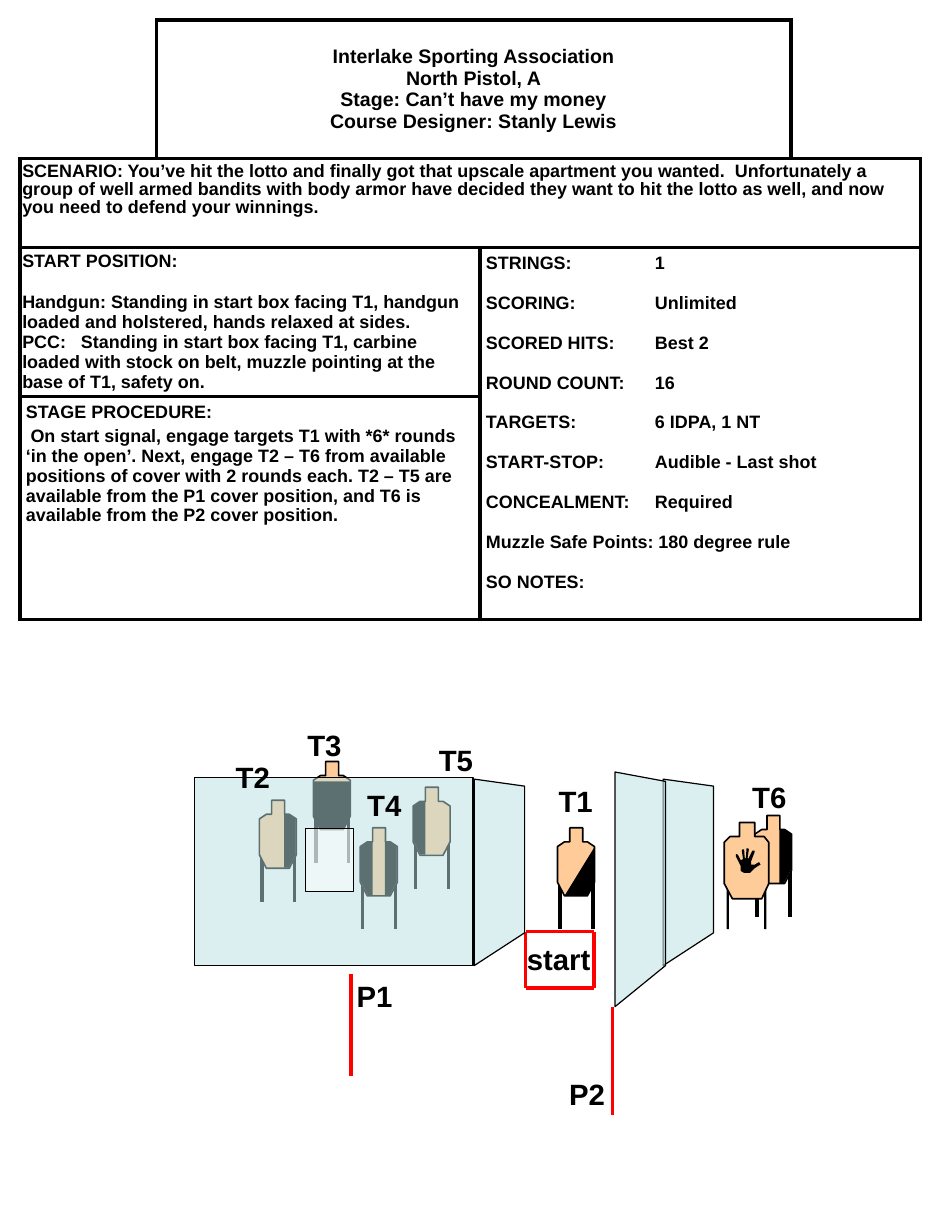
from lxml.etree import SubElement
from pptx import Presentation
from pptx.dml.color import RGBColor
from pptx.enum.shapes import MSO_CONNECTOR as Connector, MSO_SHAPE as Shape
from pptx.enum.text import MSO_ANCHOR as Anchor, PP_ALIGN as Align
from pptx.oxml.ns import qn
from pptx.util import Emu, Inches, Pt

COLUMNS, ROWS = 80, 105
BLACK, WHITE, RED = "000000", "FFFFFF", "FF0000"
GLASS, CARDBOARD = "BBE0E3", "FFCC99"

# Target pieces, in grid cells from the target's top left corner
BODY = [(1.05, 0), (2.15, 0), (2.15, 1.2), (2.55, 1.2), (3.15, 1.6), (3.15, 4.65),
        (2.55, 5.8), (0.6, 5.8), (0, 4.65), (0, 1.6), (0.6, 1.2), (1.05, 1.2)]
RIGHT_ARMOR = [(2.1, 1.2), (2.1, 5.75), (2.5, 5.75), (3.1, 4.6), (3.1, 1.6), (2.5, 1.2)]
LEFT_ARMOR = [(3.15 - x, y) for x, y in RIGHT_ARMOR]
VEST = [(0, 1.7), (3.15, 1.7), (3.15, 4.65), (2.55, 5.8), (0.6, 5.8), (0, 4.65)]
DIAGONAL = [(3.15, 1.65), (3.15, 4.65), (2.55, 5.8), (0.6, 5.8)]
THREAT_BODY = [(1.3, 0), (1.3, 1.2), (0.5, 1.2), (0, 1.7), (0, 5.2), (0.7, 6.5), (3.2, 6.5),
               (3.8, 5.2), (3.8, 1.7), (3.4, 1.2), (2.6, 1.2), (2.6, 0)]
HAND = [(2.4, 4.1), (2.2, 4.3), (2, 4.3), (1.7, 4.3), (1.5, 4.2), (1.4, 4.1), (1.4, 3.7),
        (1.3, 3.5), (1.2, 3.3), (1, 2.9), (1, 2.7), (1.1, 2.7), (1.2, 2.8), (1.4, 3.2),
        (1.5, 3.2), (1.6, 3.1), (1.5, 2.4), (1.55, 2.3), (1.7, 2.3), (1.75, 3), (1.8, 3.1),
        (1.85, 3), (1.9, 2.2), (2.05, 2.2), (2.1, 2.3), (2, 3), (2.05, 3.1), (2.1, 3),
        (2.4, 2.4), (2.6, 2.4), (2.6, 2.5), (2.3, 3.3), (2.3, 3.6), (2.4, 3.6), (2.6, 3.6),
        (2.9, 3.4), (3, 3.4), (3.1, 3.6), (2.9, 3.7), (2.6, 3.9)]

HEADING = ("Interlake Sporting Association\vNorth Pistol, A\v"
           "Stage: Can’t have my money\vCourse Designer: Stanly Lewis")
SCENARIO = ("SCENARIO: You’ve hit the lotto and finally got that upscale apartment you wanted.  "
            "Unfortunately a group of well armed bandits with body armor have decided they want "
            "to hit the lotto as well, and now you need to defend your winnings.")
START_POSITION = [
    "START POSITION:",
    "Handgun: Standing in start box facing T1, handgun loaded and holstered, "
    "hands relaxed at sides.",
    "PCC:\tStanding in start box facing T1, carbine loaded with stock on belt, "
    "muzzle pointing at the base of T1, safety on."]
RULES = ["STRINGS:\t1", "SCORING:\tUnlimited", "SCORED HITS:\tBest 2", "ROUND COUNT:\t16",
         "TARGETS:\t6 IDPA, 1 NT", "START-STOP:\tAudible - Last shot",
         "CONCEALMENT:\tRequired", "Muzzle Safe Points: 180 degree rule", "SO NOTES:"]
PROCEDURE = [
    "STAGE PROCEDURE:",
    "On start signal, engage targets T1 with *6* rounds ‘in the open’. Next, engage T2 – T6 "
    "from available positions of cover with 2 rounds each. T2 – T5 are available from the P1 "
    "cover position, and T6 is available from the P2 cover position."]


def color(value):
    return RGBColor.from_string(value)


class StageSheet:
    """Draws on one slide, in cells of a grid of 80 columns by 105 rows."""

    font = "Arial"

    def __init__(self, deck):
        self.page = deck.slides.add_slide(deck.slide_layouts[6])
        self.shapes = self.page.shapes
        self.column, self.row = deck.slide_width / COLUMNS, deck.slide_height / ROWS

    def x(self, columns):
        return Emu(round(columns * self.column))

    def y(self, rows):
        return Emu(round(rows * self.row))

    def paint(self, shape, fill, border=None, weight=0.75, opacity=100):
        shape.shadow.inherit = False
        shape.fill.solid()
        shape.fill.fore_color.rgb = color(fill)
        if opacity < 100:
            tint = shape._element.spPr.find(qn("a:solidFill"))[0]
            SubElement(tint, qn("a:alpha"), val=str(opacity * 1000))
        if border:
            shape.line.color.rgb = color(border)
            shape.line.width = Pt(weight)
        else:
            shape.line.fill.background()
        return shape

    def line(self, x1, y1, x2, y2, ink, weight):
        link = self.shapes.add_connector(Connector.STRAIGHT, self.x(x1), self.y(y1),
                                         self.x(x2), self.y(y2))
        link.line.color.rgb = color(ink)
        link.line.width = Pt(weight)
        SubElement(link._element.spPr, qn("a:effectLst"))
        return link

    def rectangle(self, left, top, width, height, fill, **style):
        box = self.shapes.add_shape(Shape.RECTANGLE, self.x(left), self.y(top),
                                    self.x(width), self.y(height))
        return self.paint(box, fill, **style)

    def polygon(self, points, fill, left=0, top=0, **style):
        first, *rest = [(self.x(left + x), self.y(top + y)) for x, y in points]
        outline = self.shapes.build_freeform(*first, scale=1.0)
        outline.add_line_segments(rest, close=True)
        return self.paint(outline.convert_to_shape(), fill, **style)

    def set_text(self, para, text, size):
        para.text = text
        para.font.name, para.font.size, para.font.bold = self.font, Pt(size), True
        para.font.color.rgb = color(BLACK)

    def label(self, text, left, top, width=5.8):
        box = self.shapes.add_textbox(self.x(left), self.y(top), self.x(width), self.y(4))
        box.text_frame.word_wrap = True
        self.set_text(box.text_frame.paragraphs[0], text, 18)
        return box

    def target(self, left, top, *armor):
        legs = [self.line(left + x, top + 4.25, left + x, top + 8.65, BLACK, 2.25)
                for x in (0.2, 3)]
        body = self.polygon(BODY, CARDBOARD, left, top, border=BLACK, weight=1)
        plates = [self.polygon(plate, BLACK, left, top) for plate in armor]
        self.shapes.add_group_shape([*legs, body, *plates])

    def non_threat(self, left, top):
        legs = [self.rectangle(left + x, top + 4.8, 0.2, 4.3, BLACK) for x in (3.4, 0.2)]
        body = self.polygon(THREAT_BODY, "FDCC99", left, top, border=BLACK, weight=1)
        self.shapes.add_group_shape([*legs, body, self.polygon(HAND, BLACK, left, top)])

    def start_box(self, left, top, right, bottom):
        sides = [(right, top, left, top), (right, top, right, bottom),
                 (left, top, left, bottom), (right, bottom, left, bottom)]
        lines = [self.line(*side, RED, 2) for side in sides]
        self.shapes.add_group_shape([*lines, self.label("start", left - 0.9, top + 0.3, 8.6)])

    def table(self, left, top, widths, heights):
        frame = self.shapes.add_table(len(heights), len(widths), self.x(left), self.y(top),
                                      self.x(sum(widths)), self.y(sum(heights)))
        grid = frame.table
        grid.first_row = grid.horz_banding = False
        for column, width in zip(grid.columns, widths):
            column.width = self.x(width)
        for row, height in zip(grid.rows, heights):
            row.height = self.y(height)
        return grid

    def edge(self, cell, sides):
        for side in sides:
            line = SubElement(cell._tc.get_or_add_tcPr(), qn(f"a:ln{side}"), w=str(Pt(2.25)))
            SubElement(SubElement(line, qn("a:solidFill")), qn("a:srgbClr"), val=BLACK)

    def region(self, grid, first, last, texts=(), size=11, inset=(0.5, 0.5), gaps=(),
               tab=None, sides="LRTB"):
        """Merge the cells from first to last, frame them and set one paragraph per text."""
        origin = grid.cell(*first)
        if first != last:
            origin.merge(grid.cell(*last))
        for r in range(first[0], last[0] + 1):
            for c in range(first[1], last[1] + 1):
                outer = {"L": c == first[1], "R": c == last[1],
                         "T": r == first[0], "B": r == last[0]}
                cell = grid.cell(r, c)
                self.edge(cell, [s for s in sides if outer[s] or (r, c) == first])
                cell.fill.solid()
                cell.fill.fore_color.rgb = color(WHITE)
        origin.margin_left = origin.margin_right = self.x(inset[0])
        origin.margin_top = origin.margin_bottom = self.y(inset[1])
        frame = origin.text_frame
        for index, text in enumerate(texts):
            para = frame.add_paragraph() if index else frame.paragraphs[0]
            if index and gaps:
                para.space_before = Pt(gaps[index - 1])
            if tab and "\t" in text:
                stops = SubElement(para._p.get_or_add_pPr(), qn("a:tabLst"))
                SubElement(stops, qn("a:tab"), pos=str(self.x(tab)), algn="l")
            self.set_text(para, text, size)
        return origin


def main():
    deck = Presentation()
    deck.slide_width, deck.slide_height = Inches(8), Inches(10.5)
    sheet = StageSheet(deck)

    grid = sheet.table(1.7, 1.7, (11.6, 27.6, 26.5, 11), (11.8, 7.6, 12.7, 19))
    sheet.region(grid, (0, 0), (0, 0), sides="RB")
    heading = sheet.region(grid, (0, 1), (0, 2), [HEADING], size=12)
    heading.vertical_anchor = Anchor.MIDDLE
    heading.text_frame.paragraphs[0].alignment = Align.CENTER
    sheet.region(grid, (0, 3), (0, 3), sides="LB")
    scenario = sheet.region(grid, (1, 0), (1, 3), [SCENARIO], inset=(0.2, 0.4))
    scenario.text_frame.paragraphs[0].line_spacing = 0.9
    sheet.region(grid, (2, 0), (2, 1), START_POSITION, inset=(0.2, 0.3), gaps=(12.8, 0.5), tab=5)
    sheet.region(grid, (2, 2), (3, 3), RULES, gaps=[12.2] * (len(RULES) - 1), tab=14.4)
    procedure = sheet.region(grid, (3, 0), (3, 1), PROCEDURE, gaps=[2.2])
    procedure.text_frame.paragraphs[1]._p.get_or_add_pPr().set("indent", str(sheet.x(0.4)))

    sheet.target(35.2, 67.1, LEFT_ARMOR)
    sheet.target(22.1, 68.2, RIGHT_ARMOR)
    sheet.target(30.7, 70.55, RIGHT_ARMOR, LEFT_ARMOR)
    sheet.target(26.7, 64.9, VEST)
    sheet.target(64.3, 69.5, RIGHT_ARMOR)
    sheet.non_threat(61.7, 70.1)
    sheet.start_box(44.8, 79.4, 50.6, 84.2)
    sheet.line(52.2, 85.8, 52.2, 95, RED, 2.25)
    sheet.label("P2", 47.5, 91.2)
    sheet.line(29.9, 91.7, 29.9, 83, RED, 2.25)
    sheet.label("P1", 29.4, 82.9)
    sheet.target(47.5, 70.55, DIAGONAL)

    pane = {"border": BLACK, "opacity": 50}
    sheet.rectangle(16.6, 66.3, 23.7, 16, GLASS, **pane)
    sheet.rectangle(26, 70.6, 4.1, 5.4, WHITE, **pane)
    side_wall = [(0, 15.9), (0, 0), (4.3, 0.6), (4.3, 13.1)]
    for left in (40.4, 56.5):
        sheet.polygon(side_wall, GLASS, left, 66.4, **pane)
    sheet.polygon([(0, 20), (0, 0), (4.3, 0.8), (4.3, 16.5)], GLASS, 52.4, 65.8, **pane)

    for text, left, top in [("T1", 46.6, 66.3), ("T2", 19.1, 64.2), ("T3", 25.2, 61.5),
                            ("T6", 63.1, 65.9), ("T5", 36.4, 62.8), ("T4", 30.3, 66.6)]:
        sheet.label(text, left, top)

    deck.save("out.pptx")


if __name__ == "__main__":
    main()
